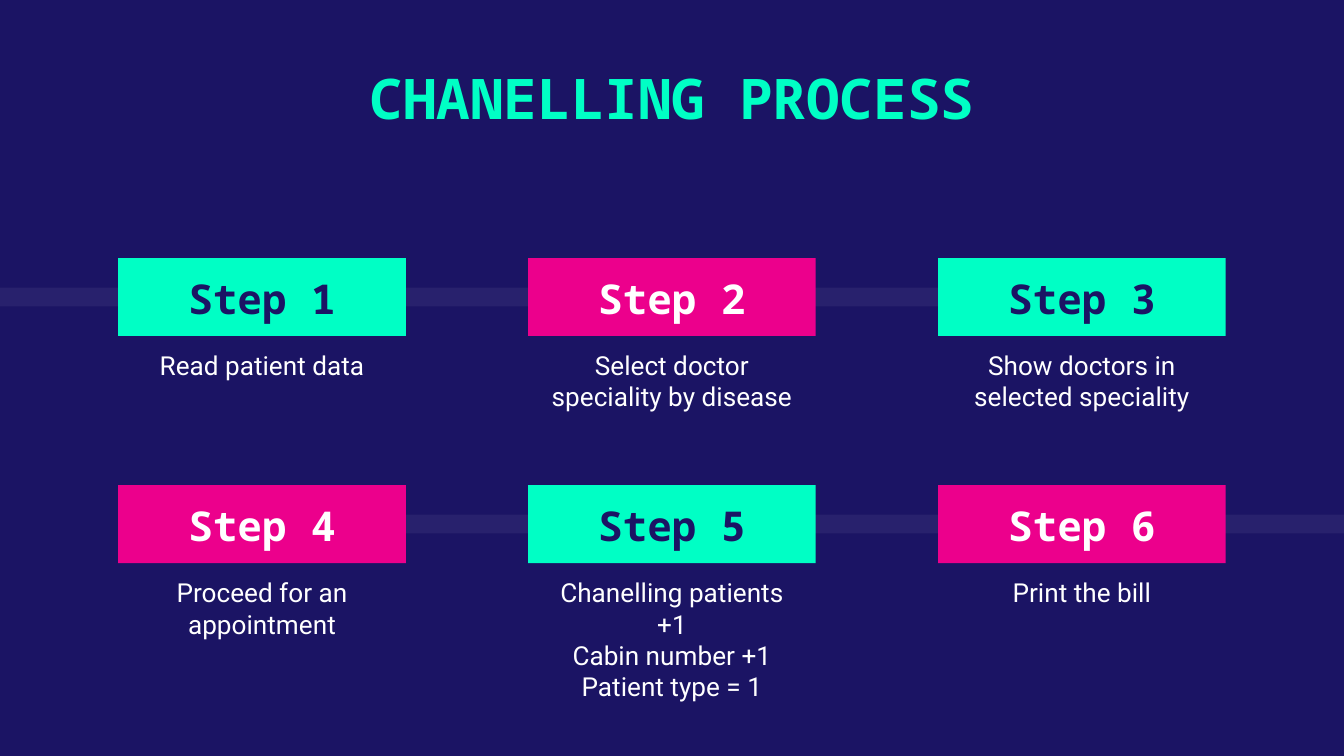
from dataclasses import dataclass

import lxml.etree
import pptx
import pptx.dml.color
import pptx.enum.shapes
import pptx.enum.text
import pptx.oxml.ns
import pptx.util

RGBColor = pptx.dml.color.RGBColor
Inches = pptx.util.Inches
ANCHOR = pptx.enum.text.MSO_ANCHOR

NAVY = RGBColor(0x1B, 0x14, 0x64)
MINT = RGBColor(0x00, 0xFF, 0xC5)
PINK = RGBColor(0xEC, 0x00, 0x8C)
WHITE = RGBColor(0xFF, 0xFF, 0xFF)
HEADING_FONT, BODY_FONT = "Noto Sans Mono", "Roboto"

SLIDE_W = 10
SLIDE_H = SLIDE_W * 9 / 16
COLUMNS = 3
LABEL_W, LABEL_H = 2.14, 0.58
CAPTION_W, CAPTION_H = 2.07, 0.73
GRID_LEFT, GRID_TOP = 0.88, 1.92
COLUMN_PITCH = (SLIDE_W - 2 * GRID_LEFT - LABEL_W) / (COLUMNS - 1)
ROW_PITCH = 1.69
RAIL_H, RAIL_ALPHA = 0.14, 6


@dataclass(frozen=True)
class Rail:
    row: int
    left: float
    right: float


@dataclass(frozen=True)
class Step:
    number: int
    caption: str

    @property
    def left(self) -> float:
        return GRID_LEFT + (self.number - 1) % COLUMNS * COLUMN_PITCH

    @property
    def top(self) -> float:
        return GRID_TOP + (self.number - 1) // COLUMNS * ROW_PITCH


RAILS = [Rail(0, 0, 8.52), Rail(1, 1.02, SLIDE_W)]
STEPS = [
    Step(1, "Read patient data"),
    Step(2, "Select doctor speciality by disease"),
    Step(3, "Show doctors in selected speciality"),
    Step(4, "Proceed for an appointment"),
    Step(5, "Chanelling patients +1\nCabin number +1\nPatient type = 1"),
    Step(6, "Print the bill"),
]


def place(s, left: float, top: float, width: float, height: float) -> None:
    s.left, s.top = Inches(left), Inches(top)
    s.width, s.height = Inches(width), Inches(height)


def write(s, text: str, font: str, size: int, color: RGBColor,
          bold: bool = False, anchor=ANCHOR.TOP) -> None:
    """Fill a shape with centred text in one style, inset by 0.1 inch."""
    tf = s.text_frame
    tf.text = text
    tf.word_wrap = True
    tf.auto_size = pptx.enum.text.MSO_AUTO_SIZE.NONE
    tf.vertical_anchor = anchor
    tf.margin_left = tf.margin_right = Inches(0.1)
    tf.margin_top = tf.margin_bottom = Inches(0.1)
    for p in tf.paragraphs:
        p.alignment = pptx.enum.text.PP_ALIGN.CENTER
        p.font.name, p.font.size = font, pptx.util.Pt(size)
        p.font.bold, p.font.color.rgb = bold, color


def add_box(slide, left: float, top: float, width: float, height: float,
            color: RGBColor):
    s = slide.shapes.add_shape(
        pptx.enum.shapes.MSO_SHAPE.RECTANGLE,
        Inches(left), Inches(top), Inches(width), Inches(height))
    s.shadow.inherit = False
    s.fill.solid()
    s.fill.fore_color.rgb = color
    s.line.fill.background()
    return s


def draw_rail(slide, rail: Rail) -> None:
    """Draw the faint band that runs behind one row of steps."""
    top = GRID_TOP + rail.row * ROW_PITCH + (LABEL_H - RAIL_H) / 2
    s = add_box(slide, rail.left, top, rail.right - rail.left, RAIL_H, WHITE)
    qn = pptx.oxml.ns.qn
    color = s.element.spPr.find(qn("a:solidFill")).find(qn("a:srgbClr"))
    lxml.etree.SubElement(color, qn("a:alpha"), val=str(RAIL_ALPHA * 1000))


def draw_step(slide, step: Step) -> None:
    fill, ink = (MINT, NAVY) if step.number % 2 else (PINK, WHITE)
    label = add_box(slide, step.left, step.top, LABEL_W, LABEL_H, fill)
    write(label, f"Step {step.number}", HEADING_FONT, 22, ink,
          bold=True, anchor=ANCHOR.BOTTOM)
    caption = slide.shapes.add_textbox(0, 0, 0, 0)
    place(caption, step.left + (LABEL_W - CAPTION_W) / 2, step.top + LABEL_H,
          CAPTION_W, CAPTION_H)
    write(caption, step.caption, BODY_FONT, 14, WHITE)


def main() -> None:
    prs = pptx.Presentation()
    prs.slide_width, prs.slide_height = Inches(SLIDE_W), Inches(SLIDE_H)
    slide = prs.slides.add_slide(prs.slide_layouts.get_by_name("Title Only"))
    slide.background.fill.solid()
    slide.background.fill.fore_color.rgb = NAVY

    title = slide.shapes.title
    place(title, 0.14 * SLIDE_W, 0.37, 0.72 * SLIDE_W, 0.73)
    write(title, "CHANELLING PROCESS", HEADING_FONT, 30, MINT, bold=True)

    for rail in RAILS:
        draw_rail(slide, rail)
    for step in STEPS:
        draw_step(slide, step)
    prs.save("out.pptx")


if __name__ == "__main__":
    main()
